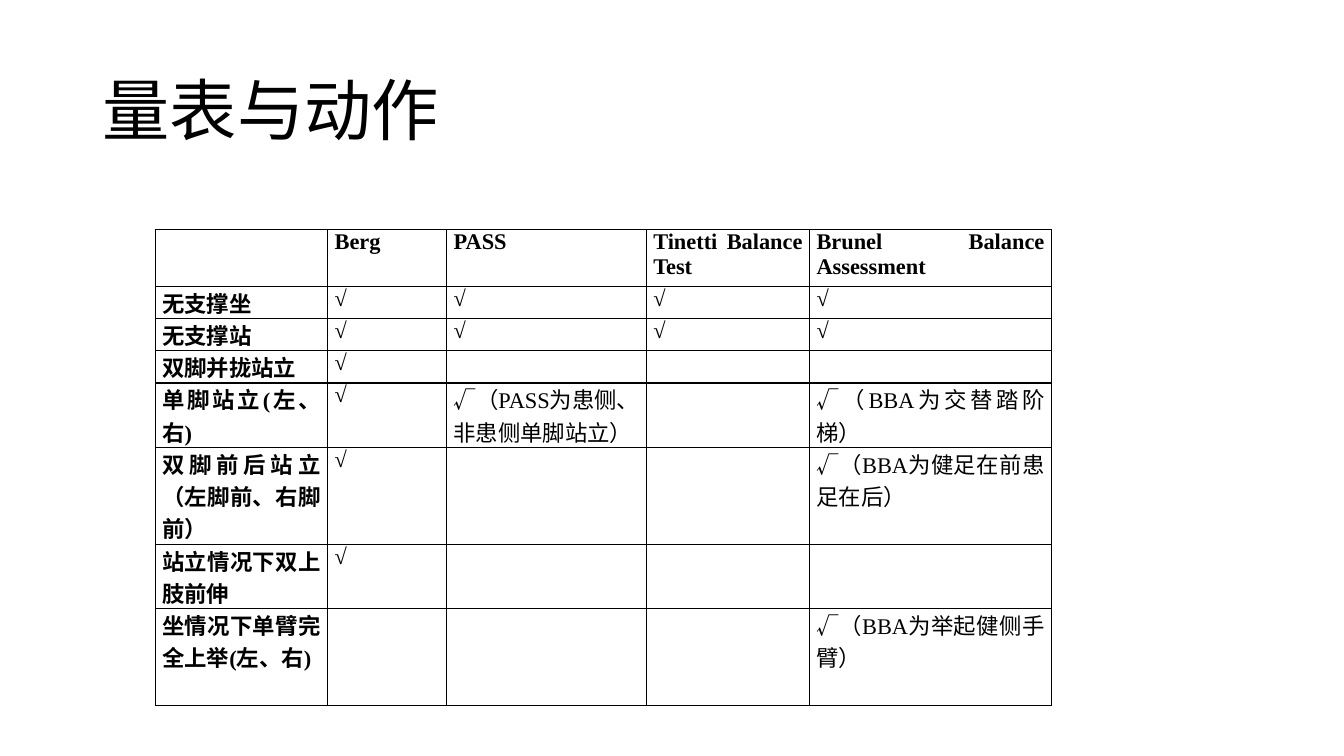
"""Build a slide that compares the movements tested by four balance scales."""
import pptx
import pptx.dml.color
import pptx.enum.text
import pptx.oxml
import pptx.oxml.ns
import pptx.util
from pptx.util import Inches

TITLE = "量表与动作"
SCALES = ["", "Berg", "PASS", "Tinetti Balance Test", "Brunel Balance Assessment"]
MOVEMENTS = [
    ["无支撑坐", "√", "√", "√", "√"],
    ["无支撑站", "√", "√", "√", "√"],
    ["双脚并拢站立", "√", "", "", ""],
    ["单脚站立(左、右)", "√", "√（PASS为患侧、非患侧单脚站立）", "", "√（BBA为交替踏阶梯）"],
    ["双脚前后站立（左脚前、右脚前）", "√", "", "", "√（BBA为健足在前患足在后）"],
    ["站立情况下双上肢前伸", "√", "", "", ""],
    ["坐情况下单臂完全上举(左、右)", "", "", "", "√（BBA为举起健侧手臂）"],
]
COLUMN_WIDTHS = [1.71, 1.18, 1.98, 1.62, 2.4]
HEADER_HEIGHT = 0.56
MOVEMENT_LINES = [1, 1, 1, 2, 3, 2, 3]
LINE_HEIGHT = 0.32
THEME = {
    "ink": "000000",
    "title_font": "Noto Sans CJK SC",
    "table_font": "Times New Roman",
    "asian_font": "Noto Sans CJK SC",
    "title_size": 48,
    "table_size": 16,
    "border": 1,
}


def style_paragraph(para, name, size, bold=False):
    """Set the Latin and East Asian type of a paragraph."""
    font = para.font
    font.name = name
    font.size = pptx.util.Pt(size)
    font.bold = bold
    font.color.rgb = pptx.dml.color.RGBColor.from_string(THEME["ink"])
    defaults = para._p.pPr.find(pptx.oxml.ns.qn("a:defRPr"))
    asian = pptx.oxml.parse_xml(f'<a:ea {pptx.oxml.ns.nsdecls("a")} typeface="{THEME["asian_font"]}"/>')
    defaults.find(pptx.oxml.ns.qn("a:latin")).addnext(asian)


def add_borders(cell):
    """Draw a thin line on each side of a cell."""
    properties = cell._tc.get_or_add_tcPr()
    width = pptx.util.Pt(THEME["border"])
    for position, side in enumerate(("lnL", "lnR", "lnT", "lnB")):
        line = pptx.oxml.parse_xml(
            f'<a:{side} {pptx.oxml.ns.nsdecls("a")} w="{width}"><a:solidFill>'
            f'<a:srgbClr val="{THEME["ink"]}"/></a:solidFill></a:{side}>')
        properties.insert(position, line)


def add_title(page):
    """Place the title."""
    box = page.shapes.add_textbox(Inches(0.92), Inches(0.4), Inches(11.5), Inches(1.45))
    frame = box.text_frame
    frame.word_wrap = True
    frame.vertical_anchor = pptx.enum.text.MSO_ANCHOR.MIDDLE
    para = frame.paragraphs[0]
    para.text = TITLE
    para.line_spacing = 0.9
    style_paragraph(para, THEME["title_font"], THEME["title_size"])


def fill_cell(cell, text, bold):
    """Write and format one table cell."""
    cell.fill.background()
    cell.margin_left = cell.margin_right = Inches(0.07)
    cell.margin_top = cell.margin_bottom = 0
    para = cell.text_frame.paragraphs[0]
    para.text = text
    para.alignment = pptx.enum.text.PP_ALIGN.JUSTIFY
    style_paragraph(para, THEME["table_font"], THEME["table_size"], bold)
    add_borders(cell)


def add_scale_table(page):
    """Place the table of scales and movements."""
    rows = [SCALES] + MOVEMENTS
    heights = [HEADER_HEIGHT] + [lines * LINE_HEIGHT for lines in MOVEMENT_LINES]
    table = page.shapes.add_table(
        len(rows), len(SCALES), Inches(1.54), Inches(2.28),
        Inches(sum(COLUMN_WIDTHS)), Inches(sum(heights))).table
    table.first_row = table.horz_banding = False
    for column, width in zip(table.columns, COLUMN_WIDTHS):
        column.width = Inches(width)
    for row, height in zip(table.rows, heights):
        row.height = Inches(height)
    for row_index, texts in enumerate(rows):
        for column_index, text in enumerate(texts):
            bold = row_index == 0 or column_index == 0
            fill_cell(table.cell(row_index, column_index), text, bold)


def main():
    """Build and save the deck."""
    deck = pptx.Presentation()
    deck.slide_width, deck.slide_height = Inches(13.33), Inches(7.5)
    page = deck.slides.add_slide(deck.slide_layouts[6])
    add_title(page)
    add_scale_table(page)
    deck.save("out.pptx")


if __name__ == "__main__":
    main()
